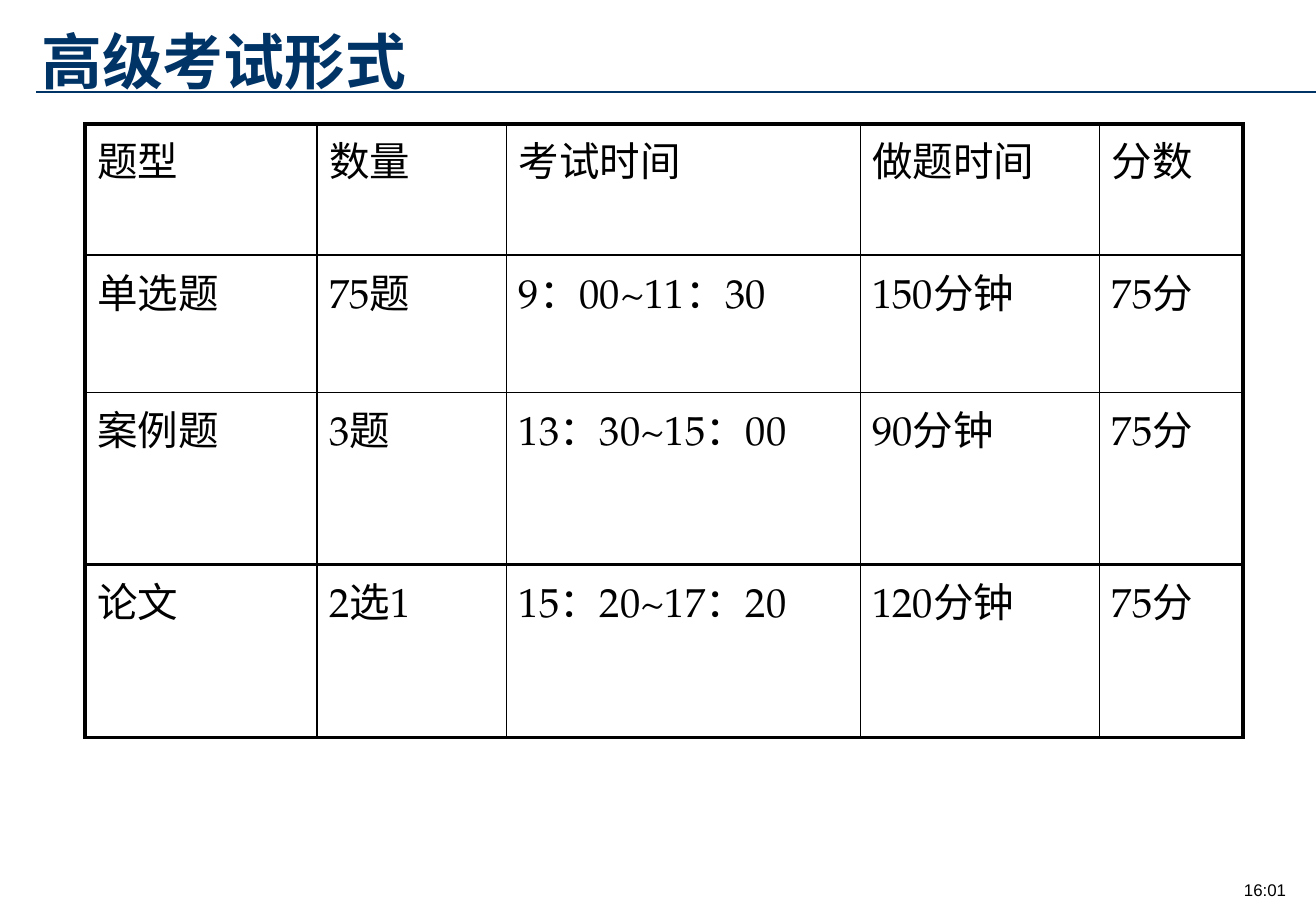
from lxml.etree import SubElement
from pptx import Presentation
from pptx.dml.color import RGBColor
from pptx.enum.shapes import MSO_CONNECTOR
from pptx.enum.text import MSO_ANCHOR, PP_ALIGN
from pptx.oxml.ns import qn
from pptx.util import Pt

PX = 9144  # 100 px to the inch
THEME = {
    "navy": "003366",
    "black": "000000",
    "east_asian": "Noto Sans CJK SC",
    "title": {"name": "Noto Sans CJK SC", "size": Pt(36), "bold": True},
    "body": {"name": "TeX Gyre Pagella", "size": Pt(24), "bold": False},
    "clock": {"name": "Arial", "size": Pt(10), "bold": False},
    "thin": Pt(1),
    "thick": Pt(2.25),
}


def write(tf, text, style, color, align=PP_ALIGN.LEFT):
    p = tf.paragraphs[0]
    p.alignment = align
    r = p.add_run()
    r.text = text
    for name, value in THEME[style].items():
        setattr(r.font, name, value)
    r.font.color.rgb = RGBColor.from_string(THEME[color])
    SubElement(r.font._element, qn("a:ea"), typeface=THEME["east_asian"])


def set_border(cell, side, width):
    ln = SubElement(cell._tc.get_or_add_tcPr(), qn(f"a:ln{side}"), w=str(width))
    fill = SubElement(ln, qn("a:solidFill"))
    SubElement(fill, qn("a:srgbClr"), val=THEME["black"])


prs = Presentation()
prs.slide_width, prs.slide_height = 1083 * PX, 750 * PX
s = prs.slides.add_slide(prs.slide_layouts[6])

# Title rule
rule = s.shapes.add_connector(MSO_CONNECTOR.STRAIGHT, 30 * PX, 76 * PX, 1083 * PX, 76 * PX)
rule.line.color.rgb = RGBColor.from_string(THEME["navy"])
rule.line.width = THEME["thin"]
SubElement(rule._element.spPr, qn("a:effectLst"))

# Clock and title
clock = s.shapes.add_textbox(1010 * PX, 719 * PX, 62 * PX, 27 * PX).text_frame
clock.word_wrap = True
write(clock, "16:01", "clock", "black", PP_ALIGN.CENTER)

title = s.shapes.add_textbox(30 * PX, 13 * PX, 947 * PX, 71 * PX).text_frame
title.word_wrap = True
title.vertical_anchor = MSO_ANCHOR.BOTTOM
for side in ("left", "top", "right", "bottom"):
    setattr(title, f"margin_{side}", 4 * PX)
write(title, "高级考试形式", "title", "navy")

# Exam table
rows = [
    ("题型", "数量", "考试时间", "做题时间", "分数"),
    ("单选题", "75题", "9：00~11：30", "150分钟", "75分"),
    ("案例题", "3题", "13：30~15：00", "90分钟", "75分"),
    ("论文", "2选1", "15：20~17：20", "120分钟", "75分"),
]
col_widths = [191, 156, 291, 197, 118]
row_heights = [108, 113, 142, 142]
thick_cols = {0, len(col_widths)}
thick_rows = {0, 3, len(row_heights)}

table = s.shapes.add_table(
    len(rows), len(col_widths), 70 * PX, 102 * PX,
    sum(col_widths) * PX, sum(row_heights) * PX,
).table
table.first_row = table.horz_banding = False
for col, width in zip(table.columns, col_widths):
    col.width = width * PX
for row, height in zip(table.rows, row_heights):
    row.height = height * PX

for i, texts in enumerate(rows):
    for j, text in enumerate(texts):
        cell = table.cell(i, j)
        cell.vertical_anchor = MSO_ANCHOR.TOP
        cell.margin_top = cell.margin_bottom = 5 * PX
        write(cell.text_frame, text, "body", "black")
        edges = {
            "L": j in thick_cols,
            "R": j + 1 in thick_cols,
            "T": i in thick_rows,
            "B": i + 1 in thick_rows,
        }
        for side, thick in edges.items():
            set_border(cell, side, THEME["thick" if thick else "thin"])
        cell.fill.background()

prs.save("out.pptx")
